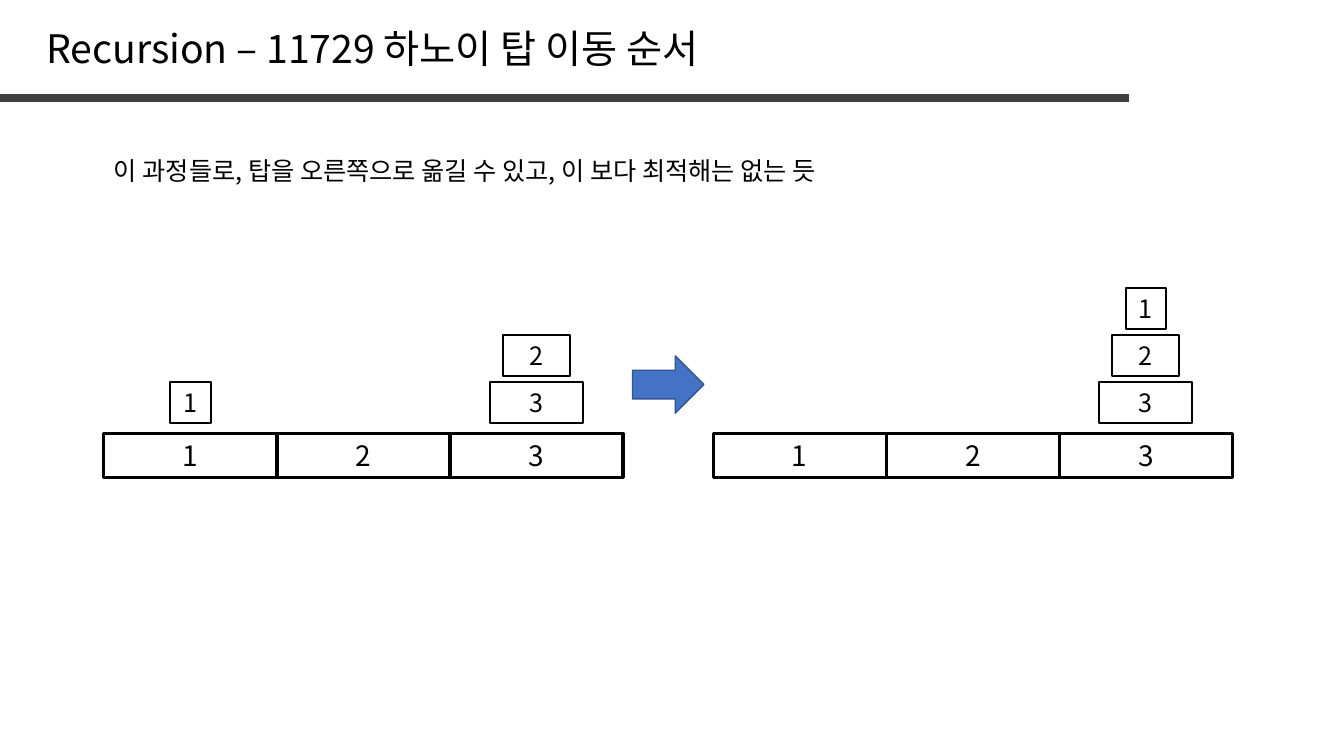
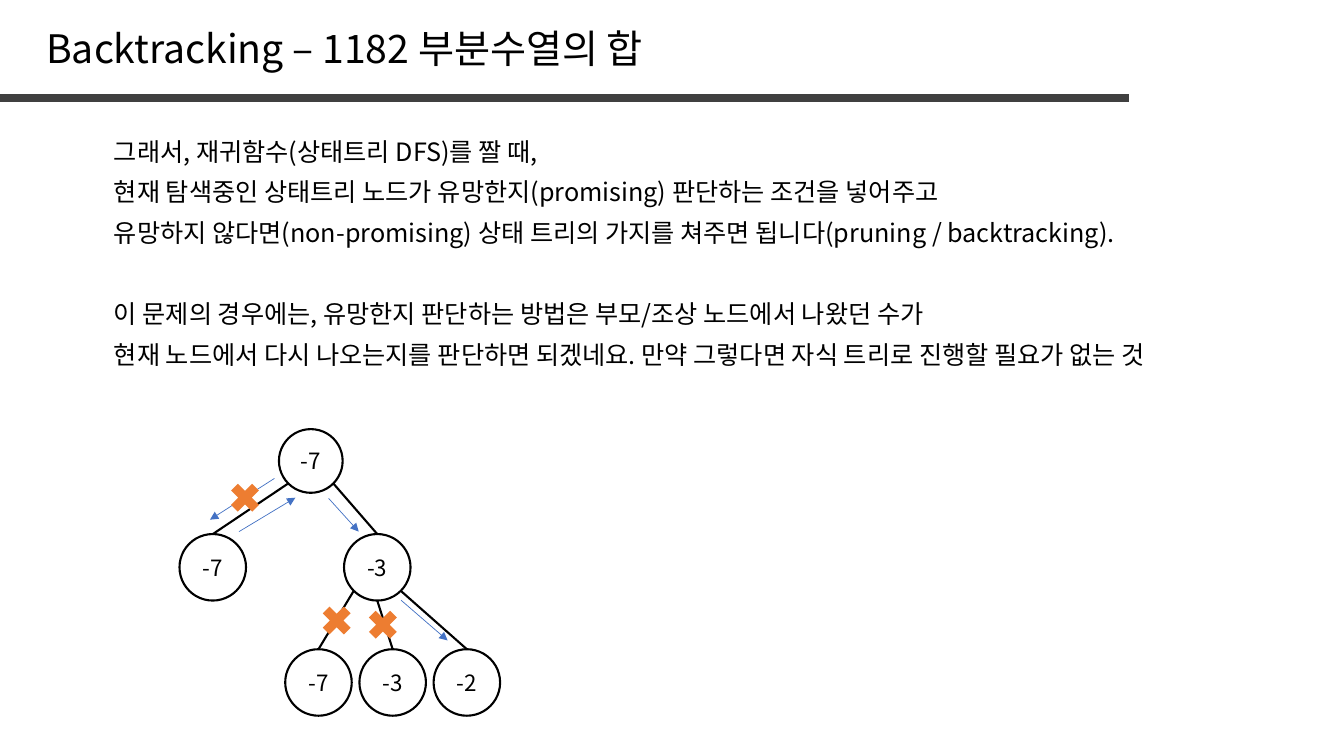
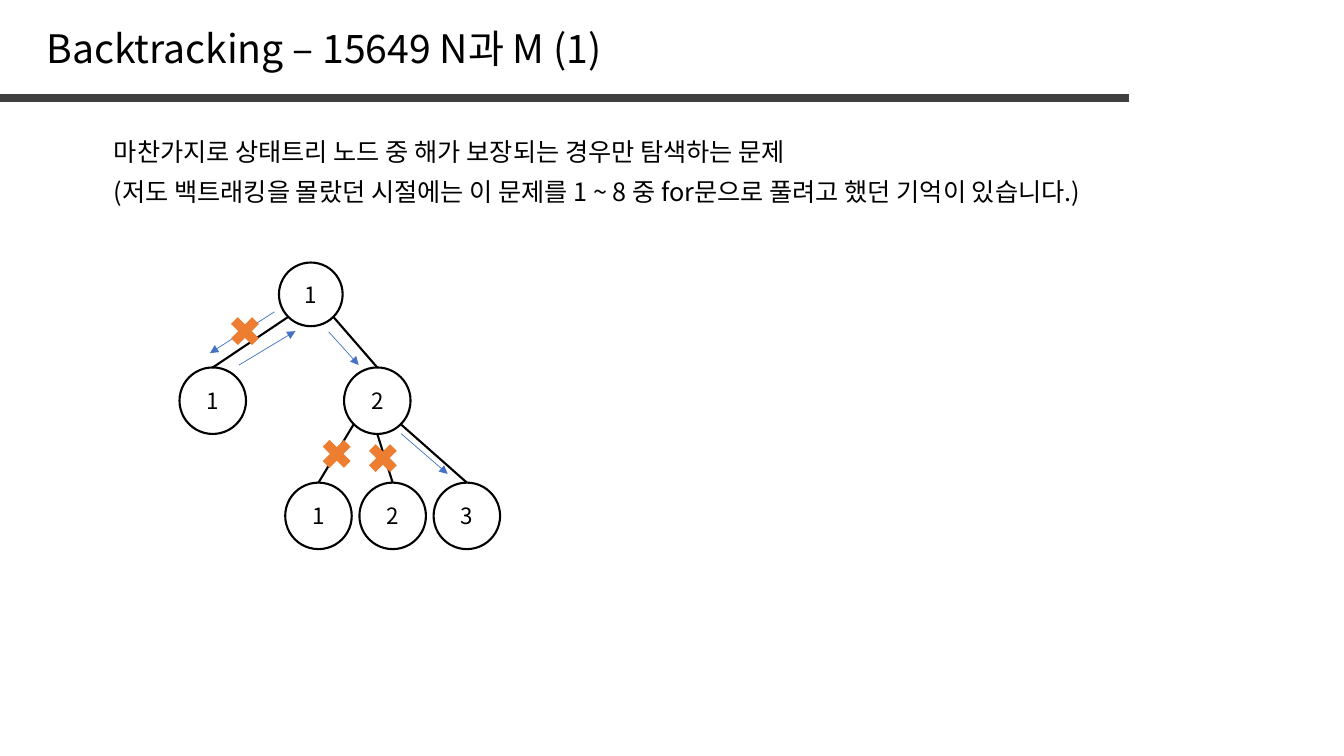
from dataclasses import dataclass
from math import sqrt

from pptx import Presentation
from pptx.dml.color import RGBColor
from pptx.enum.shapes import MSO_CONNECTOR as Line, MSO_SHAPE as Shape
from pptx.enum.text import MSO_ANCHOR as Anchor, MSO_AUTO_SIZE as AutoSize, PP_ALIGN as Align
from pptx.oxml.ns import qn
from pptx.util import Pt

# Content
HANOI = {
    "title": ("Recursion – 11729 하노이 탑 이동 순서", 493),
    "lines": ["이 과정들로, 탑을 오른쪽으로 옮길 수 있고, 이 보다 최적해는 없는 듯"],
    # Discs on each peg, from the bottom up
    "towers": [[[1], [], [3, 2]], [[], [], [3, 2, 1]]],
}
SUBSET_SUM = {
    "title": ("Backtracking – 1182 부분수열의 합", 452),
    "lines": [
        "그래서, 재귀함수(상태트리 DFS)를 짤 때,",
        "현재 탐색중인 상태트리 노드가 유망한지(promising) 판단하는 조건을 넣어주고",
        "유망하지 않다면(non-promising) 상태 트리의 가지를 쳐주면 됩니다(pruning / backtracking).",
        None,
        "이 문제의 경우에는, 유망한지 판단하는 방법은 부모/조상 노드에서 나왔던 수가",
        "현재 노드에서 다시 나오는지를 판단하면 되겠네요. 만약 그렇다면 자식 트리로 진행할 필요가 없는 것",
    ],
    "tree_top": 306.5,
    "values": ["-7", "-7", "-3", "-7", "-3", "-2"],
}
N_AND_M = {
    "title": ("Backtracking – 15649 N과 M (1)", 428),
    "lines": [
        "마찬가지로 상태트리 노드 중 해가 보장되는 경우만 탐색하는 문제",
        "(저도 백트래킹을 몰랐던 시절에는 이 문제를 1 ~ 8 중 for문으로 풀려고 했던 기억이 있습니다.)",
    ],
    "tree_top": 187.5,
    "values": ["1", "1", "2", "1", "2", "3"],
}

# State tree, measured from the top of its root: centre x, top, diameter
NODES = [(222, 0, 45.5), (152, 75, 47.5), (269.5, 75, 47.5),
         (227.5, 157.25, 47.5), (280.5, 157.25, 47.5), (333.5, 157.25, 47.5)]
# Child, parent, side of the parent where the branch starts
BRANCHES = [(1, 0, -1), (2, 0, 1), (3, 2, -1), (4, 2, 0), (5, 2, 1)]
VISITS = [((196, 35.25), (150, 64.75)), ((170.75, 73.25), (211, 49)),
          ((234.75, 49.5), (256.25, 73.25)), ((286.5, 122.25), (319.75, 151))]
PRUNED = [(175, 49), (240.5, 136.75), (273.5, 139.75)]


@dataclass(frozen=True)
class Theme:
    font: str = "Noto Sans CJK KR"
    ink: str = "000000"
    band: str = "404040"
    blue: str = "4472C4"
    blue_edge: str = "325491"
    orange: str = "ED7D31"
    title: int = 28
    peg: int = 20
    body: int = 18
    node: int = 16


THEME = Theme()
BODY_LEFT, BODY_WIDTH, BODY_HEIGHT = 74.25, 806.25, 29
LINE_PITCH = 29
TOWER_LEFTS, TOWER_TOP = (74.25, 509.5), 309.5
PEG_WIDTH, PEG_HEIGHT = 123.6, 31.5
DISC_WIDTHS = {1: 29, 2: 48, 3: 66.5}
DISC_HEIGHT, DISC_TOP, DISC_PITCH = 29, 273, 33.5
ARROW_WIDTH, ARROW_HEIGHT, ARROW_TOP = 51, 41, 254.25
CROSS = 29


# Helpers
def write(frame, text, size, align=Align.LEFT):
    frame.text = text
    paragraph = frame.paragraphs[0]
    paragraph.alignment = align
    font = paragraph.runs[0].font
    font.name, font.size = THEME.font, Pt(size)
    font.color.rgb = RGBColor.from_string(THEME.ink)
    east_asian = font._element.makeelement(qn("a:ea"), {"typeface": THEME.font})
    font._element.find(qn("a:latin")).addnext(east_asian)


def add_text(slide, text, left, top, width, height, size, wrap=True):
    frame = slide.shapes.add_textbox(Pt(left), Pt(top), Pt(width), Pt(height)).text_frame
    frame.word_wrap = wrap
    frame.auto_size = AutoSize.SHAPE_TO_FIT_TEXT
    write(frame, text, size)


def add_figure(slide, kind, left, top, width, height, fill=None, line=None, weight=1):
    figure = slide.shapes.add_shape(kind, Pt(left), Pt(top), Pt(width), Pt(height))
    figure.shadow.inherit = False
    for part, color in ((figure.fill, fill), (figure.line.fill, line)):
        if color:
            part.solid()
            part.fore_color.rgb = RGBColor.from_string(color)
        else:
            part.background()
    if line:
        figure.line.width = Pt(weight)
    return figure


def add_block(slide, label, center, top, width, height, size, weight):
    block = add_figure(slide, Shape.RECTANGLE, center - width / 2, top, width, height,
                       line=THEME.ink, weight=weight)
    block.text_frame.vertical_anchor = Anchor.TOP
    block.text_frame.auto_size = AutoSize.SHAPE_TO_FIT_TEXT
    write(block.text_frame, str(label), size, Align.CENTER)


def add_line(slide, start, end, color, weight, arrow=False):
    line = slide.shapes.add_connector(Line.STRAIGHT, *(Pt(v) for v in (*start, *end)))
    line.line.color.rgb = RGBColor.from_string(color)
    line.line.width = Pt(weight)
    if arrow:
        outline = line.line._get_or_add_ln()
        outline.append(outline.makeelement(qn("a:tailEnd"), {"type": "triangle"}))
    properties = line._element.spPr
    properties.append(properties.makeelement(qn("a:effectLst"), {}))


def add_page(deck, content, body_top):
    slide = deck.slides.add_slide(deck.slide_layouts[6])
    add_line(slide, (0, 70), (806.5, 70), THEME.band, 6)
    title, width = content["title"]
    add_text(slide, title, 26, 13.5, width, 41, THEME.title, wrap=False)
    for row, text in enumerate(content["lines"]):
        if text:
            add_text(slide, text, BODY_LEFT, body_top + row * LINE_PITCH,
                     BODY_WIDTH, BODY_HEIGHT, THEME.body)
    return slide


# Hanoi towers
def add_tower(slide, left, pegs):
    for index, discs in enumerate(pegs):
        center = left + (index + 0.5) * PEG_WIDTH
        add_block(slide, index + 1, center, TOWER_TOP, PEG_WIDTH, PEG_HEIGHT, THEME.peg, 2.25)
        for level, disc in enumerate(discs):
            add_block(slide, disc, center, DISC_TOP - level * DISC_PITCH,
                      DISC_WIDTHS[disc], DISC_HEIGHT, THEME.body, 1.5)


# State tree
def add_tree(slide, top, values):
    for value, (center, drop, size) in zip(values, NODES):
        node = add_figure(slide, Shape.OVAL, center - size / 2, top + drop, size, size,
                          line=THEME.ink, weight=1.5)
        node.text_frame.vertical_anchor = Anchor.MIDDLE
        write(node.text_frame, value, THEME.node, Align.CENTER)
    for child, parent, side in BRANCHES:
        child_x, child_drop, _ = NODES[child]
        center, drop, size = NODES[parent]
        radius = size / 2
        reach = radius / sqrt(2) if side else radius
        add_line(slide, (child_x, top + child_drop),
                 (center + side * reach, top + drop + radius + reach), THEME.ink, 1.5)
    for (x1, y1), (x2, y2) in VISITS:
        add_line(slide, (x1, top + y1), (x2, top + y2), THEME.blue, 0.5, arrow=True)
    for x, y in PRUNED:
        add_figure(slide, Shape.MATH_MULTIPLY, x - CROSS / 2, top + y - CROSS / 2,
                   CROSS, CROSS, fill=THEME.orange)


# Slides
deck = Presentation()
deck.slide_width, deck.slide_height = Pt(960), Pt(540)

hanoi = add_page(deck, HANOI, body_top=107.25)
for left, pegs in zip(TOWER_LEFTS, HANOI["towers"]):
    add_tower(hanoi, left, pegs)
middle = (TOWER_LEFTS[0] + 3 * PEG_WIDTH + TOWER_LEFTS[1]) / 2
add_figure(hanoi, Shape.RIGHT_ARROW, middle - ARROW_WIDTH / 2, ARROW_TOP,
           ARROW_WIDTH, ARROW_HEIGHT, fill=THEME.blue, line=THEME.blue_edge)

for problem in (SUBSET_SUM, N_AND_M):
    page = add_page(deck, problem, body_top=93.75)
    add_tree(page, problem["tree_top"], problem["values"])

deck.save("out.pptx")
